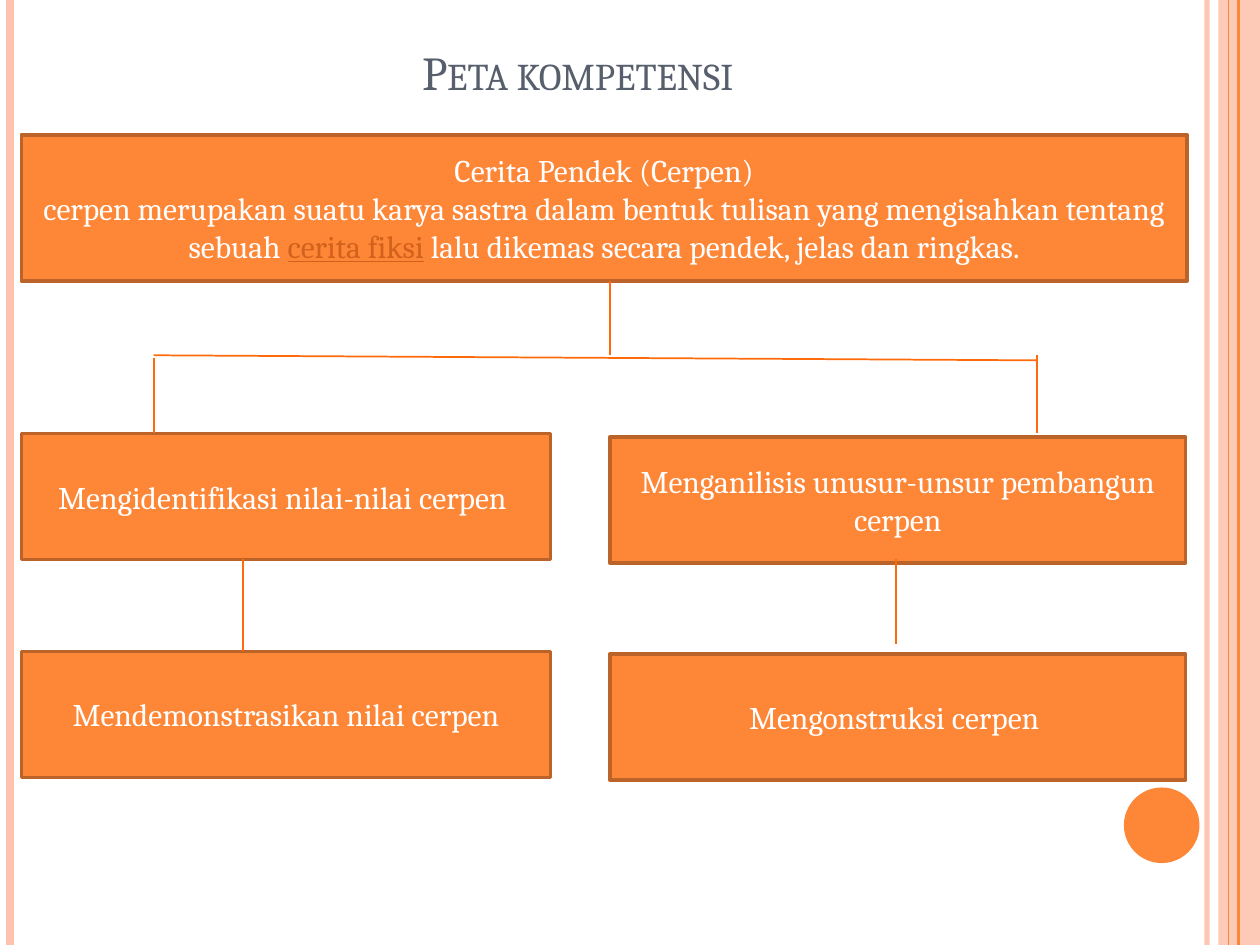
"""Build the "Peta kompetensi" competency map slide."""
from lxml.etree import SubElement
from pptx import Presentation
from pptx.dml.color import RGBColor
from pptx.enum.shapes import MSO_CONNECTOR, MSO_SHAPE
from pptx.enum.text import MSO_ANCHOR, PP_ALIGN
from pptx.oxml.ns import qn
from pptx.util import Inches, Pt

ORANGE, PEACH, BORDER, LINK = "FE8637", "FEC3AE", "BC6329", "FF6B0A"


def paint(color, value, alpha=100):
    color.rgb = RGBColor.from_string(value)
    if alpha < 100:
        clr = color._xFill.find(qn("a:srgbClr"))
        SubElement(clr, qn("a:alpha")).set("val", str(alpha * 1000))


def add_text(p, text, size=18, color="FFFFFF", underline=None, small_caps=False):
    p.alignment = PP_ALIGN.CENTER
    r = p.add_run()
    r.text = text
    r.font.name, r.font.size, r.font.underline = "Cambria", Pt(size), underline
    paint(r.font.color, color)
    if small_caps:
        r.font._element.set("cap", "small")


prs = Presentation()
prs.slide_width, prs.slide_height = Inches(10), Inches(7.5)
s = prs.slides.add_slide(prs.slide_layouts[6])

shapes = [
    (MSO_SHAPE.RECTANGLE, 9.67, 0, 0.33, 7.5, PEACH, 87, None, []),
    (MSO_SHAPE.OVAL, 8.92, 6.25, 0.6, 0.6, ORANGE, 100, None, []),
]
boxes = [
    (0.17, 1.07, 9.25, 1.16, [
        [("Cerita Pendek (Cerpen)", {})],
        [("cerpen merupakan suatu karya sastra dalam bentuk tulisan yang "
          "mengisahkan tentang sebuah ", {}),
         ("cerita fiksi", {"color": "D2611C", "underline": True}),
         (" lalu dikemas secara pendek, jelas dan ringkas.", {})],
    ]),
    (0.17, 3.44, 4.2, 1, [[("Mengidentifikasi nilai-nilai cerpen ", {})]]),
    (4.84, 3.47, 4.57, 1, [[("Menganilisis unusur-unsur pembangun cerpen", {})]]),
    (0.17, 5.17, 4.2, 1, [[("Mendemonstrasikan nilai cerpen", {})]]),
    (4.84, 5.19, 4.57, 1, [[("Mengonstruksi cerpen ", {})]]),
]
shapes += [(MSO_SHAPE.RECTANGLE, x, y, w, h, ORANGE, 100, BORDER, paragraphs)
           for x, y, w, h, paragraphs in boxes]
for kind, x, y, w, h, fill, alpha, border, paragraphs in shapes:
    sp = s.shapes.add_shape(kind, Inches(x), Inches(y), Inches(w), Inches(h))
    sp.shadow.inherit = False
    sp.fill.solid()
    paint(sp.fill.fore_color, fill, alpha)
    if border:
        paint(sp.line.color, border)
        sp.line.width = Pt(2)
    else:
        sp.line.fill.background()
    tf = sp.text_frame
    tf.word_wrap, tf.vertical_anchor = True, MSO_ANCHOR.MIDDLE
    for i, runs in enumerate(paragraphs):
        p = tf.add_paragraph() if i else tf.paragraphs[0]
        for text, style in runs:
            add_text(p, text, **style)

stripes = [(9.58, PEACH, 3, 93), (0.08, PEACH, 4.5, 100),
           (9.83, ORANGE, 1.5, 100), (9.75, ORANGE, 0.75, 100)]
links = [(4.84, 2.23, 4.84, 2.82), (1.22, 2.82, 8.23, 2.86),
         (1.22, 2.84, 1.22, 3.44), (8.23, 2.82, 8.23, 3.44),
         (1.93, 4.44, 1.93, 5.17), (7.11, 4.44, 7.11, 5.11)]
lines = [((x, 0, x, 7.5), color, width, alpha) for x, color, width, alpha in stripes]
lines += [(ends, LINK, 1, 100) for ends in links]
for ends, color, width, alpha in lines:
    line = s.shapes.add_connector(MSO_CONNECTOR.STRAIGHT, *map(Inches, ends))
    paint(line.line.color, color, alpha)
    line.line.width = Pt(width)
    SubElement(line._element.spPr, qn("a:effectLst"))

title = s.shapes.add_textbox(Inches(0.5), Inches(0.3), Inches(8.17), Inches(0.54))
tf = title.text_frame
tf.word_wrap, tf.vertical_anchor = True, MSO_ANCHOR.BOTTOM
add_text(tf.paragraphs[0], "Peta kompetensi", size=27, color="575F6D", small_caps=True)

prs.save("out.pptx")
